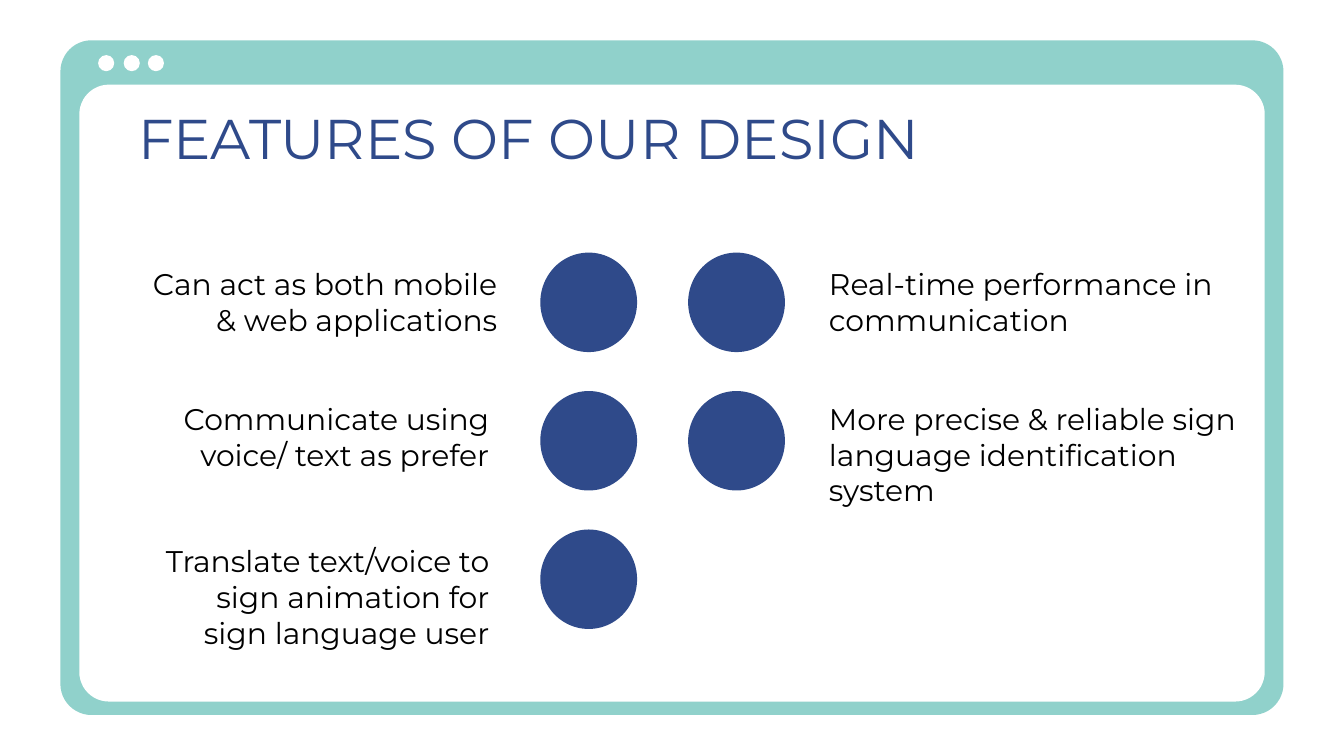
from typing import NamedTuple

from pptx import Presentation
from pptx.dml.color import RGBColor
from pptx.enum.shapes import MSO_SHAPE as SHAPE
from pptx.enum.text import MSO_ANCHOR as ANCHOR, PP_ALIGN as ALIGN
from pptx.util import Inches, Pt

TEAL, NAVY, WHITE, BLACK = "90D1CB", "2F4A8A", "FFFFFF", "000000"
FONT = "Montserrat"


class Box(NamedTuple):
    left: float
    top: float
    width: float
    height: float


class Feature(NamedTuple):
    column: int
    row: int
    box: Box
    text: str


FEATURES = [
    Feature(0, 0, Box(0.83, 1.88, 2.97, 0.89), "Can act as both mobile\n& web applications"),
    Feature(0, 1, Box(0.9, 2.88, 2.84, 0.79), "Communicate using\nvoice/ text as prefer"),
    Feature(0, 2, Box(0.99, 3.94, 2.75, 1.15),
            "Translate text/voice to sign animation for sign language user"),
    Feature(1, 0, Box(6.07, 1.88, 3.74, 0.54), "Real-time performance in communication"),
    Feature(1, 1, Box(6.07, 2.88, 3.46, 0.54),
            "More precise & reliable sign language identification system"),
]


def rgb(color: str) -> RGBColor:
    return RGBColor.from_string(color)


def add_filled(s, kind: SHAPE, box: Box, color: str):
    sp = s.shapes.add_shape(kind, *map(Inches, box))
    sp.shadow.inherit = False
    sp.fill.solid()
    sp.fill.fore_color.rgb = rgb(color)
    sp.line.fill.background()
    return sp


def add_panel(s, box: Box, color: str, radius: float) -> None:
    add_filled(s, SHAPE.ROUNDED_RECTANGLE, box, color).adjustments[0] = radius


def add_text(s, box: Box, text: str, size: int, color: str, align: ALIGN) -> None:
    tf = s.shapes.add_textbox(*map(Inches, box)).text_frame
    tf.word_wrap = True
    tf.vertical_anchor = ANCHOR.TOP
    tf.margin_left = tf.margin_right = tf.margin_top = tf.margin_bottom = Inches(0.1)
    tf.text = text
    for p in tf.paragraphs:
        p.alignment = align
        for r in p.runs:
            r.font.name = FONT
            r.font.size = Pt(size)
            r.font.color.rgb = rgb(color)


def add_feature(s, feature: Feature) -> None:
    circle = Box(4.02 + 1.1 * feature.column, 1.88 + 1.03 * feature.row, 0.72, 0.74)
    add_filled(s, SHAPE.OVAL, circle, NAVY)
    align = ALIGN.LEFT if feature.column else ALIGN.RIGHT
    add_text(s, feature.box, feature.text, 16, BLACK, align)


def main() -> None:
    prs = Presentation()
    prs.slide_width = Inches(10)
    prs.slide_height = prs.slide_width * 9 // 16
    s = prs.slides.add_slide(prs.slide_layouts[6])

    add_panel(s, Box(0.45, 0.3, 9.1, 5.02), TEAL, 0.046)
    add_panel(s, Box(0.59, 0.63, 8.82, 4.59), WHITE, 0.048)
    for left in (0.73, 0.92, 1.1):
        add_filled(s, SHAPE.OVAL, Box(left, 0.41, 0.12, 0.12), WHITE)

    add_text(s, Box(0.93, 0.67, 7.63, 0.54), "FEATURES OF OUR DESIGN", 30, NAVY, ALIGN.LEFT)
    for feature in FEATURES:
        add_feature(s, feature)

    prs.save("out.pptx")


if __name__ == "__main__":
    main()
